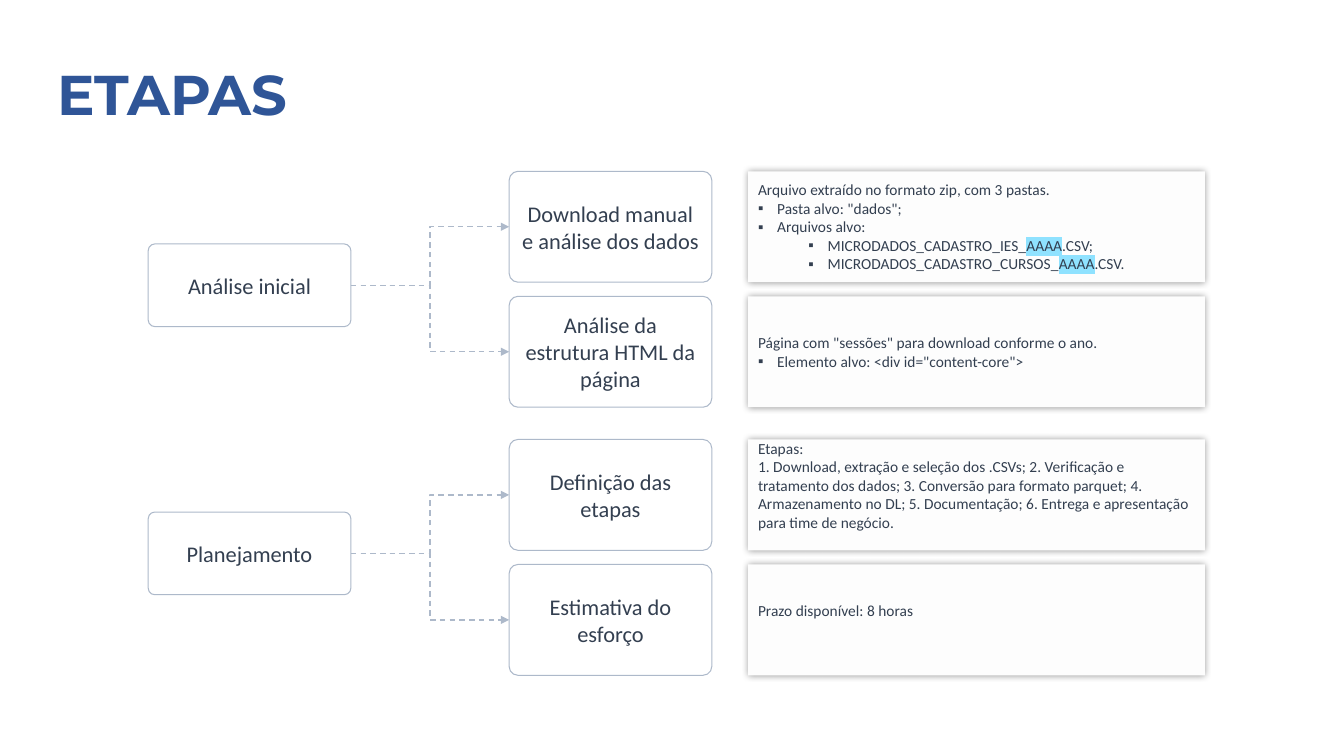
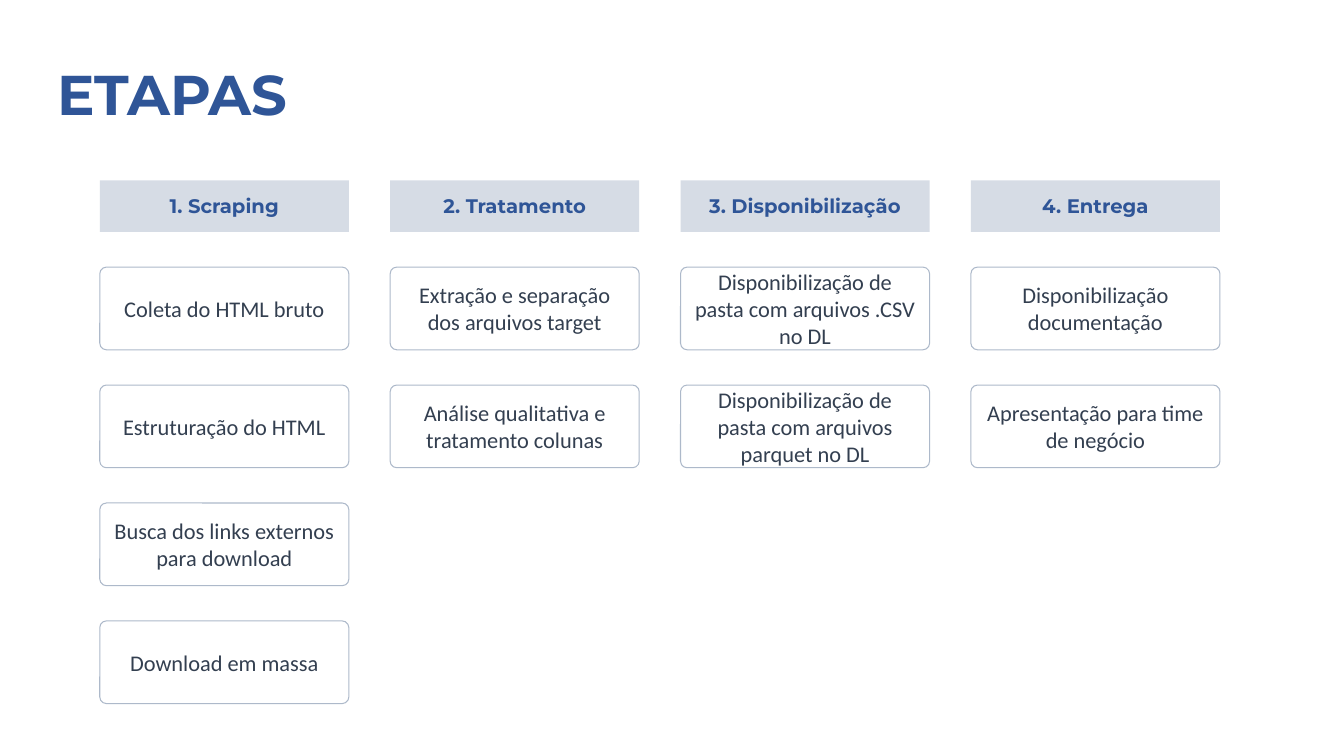
from lxml import etree
from pptx import Presentation
from pptx import util as u
from pptx.dml import color
from pptx.enum import dml, shapes, text
from pptx.oxml import ns

COLORS = {
    "title": "2F5597",
    "body": "333F50",
    "border": "ADB9CA",
    "card": "FFFFFF",
    "detail": "FDFDFD",
    "header": "D6DCE5",
    "highlight": "8FE2FF",
    "shadow": "000000",
}
FONTS = {
    "title": {"name": "Montserrat", "size": u.Pt(40), "bold": True},
    "header": {"name": "Montserrat", "size": u.Pt(14), "bold": True},
    "card": {"name": "Calibri", "size": u.Pt(16)},
    "detail": {"name": "Calibri", "size": u.Pt(11)},
}
FRAME = {"word_wrap": True, "vertical_anchor": text.MSO_ANCHOR.MIDDLE}
CENTER = {"alignment": text.PP_ALIGN.CENTER}
LEFT = {"alignment": text.PP_ALIGN.LEFT}
CARD_ROUNDING = 0.08
YEAR = "AAAA"
TITLE = "ETAPAS"
BULLET_INDENTS = {1: 0.19, 2: 0.69}

PHASES = [
    ("Análise inicial", [
        ("Download manual e análise dos dados", [
            (0, "Arquivo extraído no formato zip, com 3 pastas."),
            (1, 'Pasta alvo: "dados";'),
            (1, "Arquivos alvo:"),
            (2, "MICRODADOS_CADASTRO_IES_AAAA.CSV;"),
            (2, "MICRODADOS_CADASTRO_CURSOS_AAAA.CSV."),
        ], 0.05),
        ("Análise da estrutura HTML da página", [
            (0, 'Página com "sessões" para download conforme o ano.'),
            (1, 'Elemento alvo: <div id="content-core">'),
        ], 0.05),
    ]),
    ("Planejamento", [
        ("Definição das etapas", [
            (0, "Etapas:"),
            (0, "1. Download, extração e seleção dos .CSVs; 2. Verificação e "
                "tratamento dos dados; 3. Conversão para formato parquet; "
                "4. Armazenamento no DL; 5. Documentação; 6. Entrega e "
                "apresentação para time de negócio."),
        ], 0.24),
        ("Estimativa do esforço", [(0, "Prazo disponível: 8 horas")], 0.24),
    ]),
]

COLUMNS = [
    ("1. Scraping", [
        "Coleta do HTML bruto",
        "Estruturação do HTML",
        "Busca dos links externos para download",
        "Download em massa",
    ]),
    ("2. Tratamento", [
        "Extração e separação dos arquivos target",
        "Análise qualitativa e tratamento colunas",
    ]),
    ("3. Disponibilização", [
        "Disponibilização de pasta com arquivos .CSV no DL",
        "Disponibilização de pasta com arquivos parquet no DL",
    ]),
    ("4. Entrega", [
        "Disponibilização documentação",
        "Apresentação para time de negócio",
    ]),
]


def rgb(name):
    return color.RGBColor.from_string(COLORS[name])


def inches(box):
    return [u.Inches(value) for value in box]


def apply(target, values):
    for name, value in values.items():
        setattr(target, name, value)


def add_element(parent, tag, **attributes):
    return etree.SubElement(parent, ns.qn(tag), attributes)


def add_run(paragraph, content, font, ink):
    run = paragraph.add_run()
    run.text = content
    apply(run.font, font)
    run.font.color.rgb = rgb(ink)
    return run


def write_line(shape, content, font, ink, layout):
    apply(shape.text_frame, FRAME)
    paragraph = shape.text_frame.paragraphs[0]
    apply(paragraph, layout)
    add_run(paragraph, content, font, ink)


def add_box(slide, box, fill, kind=shapes.MSO_SHAPE.ROUNDED_RECTANGLE, rounding=None):
    shape = slide.shapes.add_shape(kind, *inches(box))
    shape.shadow.inherit = False
    shape.fill.solid()
    shape.fill.fore_color.rgb = rgb(fill)
    shape.line.fill.background()
    if rounding is not None:
        shape.adjustments[0] = rounding
    return shape


def add_title(slide):
    shape = slide.shapes.add_textbox(*inches((0.47, 0.51, 12.38, 0.82)))
    write_line(shape, TITLE, FONTS["title"], "title", LEFT)


def add_card(slide, box, content):
    shape = add_box(slide, box, "card", rounding=CARD_ROUNDING)
    shape.line.color.rgb = rgb("border")
    shape.line.width = u.Pt(0.75)
    write_line(shape, content, FONTS["card"], "body", CENTER)
    return shape


def add_header(slide, box, content):
    shape = add_box(slide, box, "header", shapes.MSO_SHAPE.RECTANGLE)
    write_line(shape, content, FONTS["header"], "title", CENTER)


def add_glow(shape):
    effects = shape._element.spPr.find(ns.qn("a:effectLst"))
    shadow = add_element(effects, "a:outerShdw", blurRad=str(u.Pt(5)), dist="0",
                         dir="0", algn="ctr", rotWithShape="0")
    tint = add_element(shadow, "a:srgbClr", val=COLORS["shadow"])
    add_element(tint, "a:alpha", val="40000")


def add_bullet(paragraph, level):
    paragraph.level = level - 1
    properties = paragraph._p.get_or_add_pPr()
    properties.set("marL", str(u.Inches(BULLET_INDENTS[level])))
    properties.set("indent", str(u.Inches(-BULLET_INDENTS[1])))
    add_element(properties, "a:buFont", typeface="Arial")
    add_element(properties, "a:buChar", char="▪")


def highlight(run):
    fill = run._r.rPr.find(ns.qn("a:solidFill"))
    marker = etree.Element(ns.qn("a:highlight"))
    add_element(marker, "a:srgbClr", val=COLORS["highlight"])
    fill.addnext(marker)


def add_detail(slide, box, lines, bottom):
    shape = add_box(slide, box, "detail", rounding=0)
    add_glow(shape)
    frame = shape.text_frame
    apply(frame, {**FRAME, "margin_bottom": u.Inches(bottom)})
    for index, (level, content) in enumerate(lines):
        paragraph = frame.add_paragraph() if index else frame.paragraphs[0]
        apply(paragraph, LEFT)
        if level:
            add_bullet(paragraph, level)
        for piece in filter(None, content.partition(YEAR)):
            run = add_run(paragraph, piece, FONTS["detail"], "body")
            if piece == YEAR:
                highlight(run)


def add_branch(slide, source, target):
    connector = slide.shapes.add_connector(shapes.MSO_CONNECTOR.ELBOW, 0, 0, 0, 0)
    connector.begin_connect(source, 3)
    connector.end_connect(target, 1)
    connector.line.color.rgb = rgb("border")
    apply(connector.line, {"width": u.Pt(1), "dash_style": dml.MSO_LINE.DASH})
    add_element(connector.line._get_or_add_ln(), "a:tailEnd", type="triangle")
    add_element(connector._element.spPr, "a:effectLst")


def add_phase(slide, left, top, name, steps):
    root = add_card(slide, (left, top + 0.72, 2.01, 0.82), name)
    for index, (step, lines, bottom) in enumerate(steps):
        step_top = top + index * 1.24
        card = add_card(slide, (left + 3.58, step_top, 2.01, 1.1), step)
        add_detail(slide, (left + 5.95, step_top, 4.53, 1.1), lines, bottom)
        add_branch(slide, root, card)


def add_column(slide, left, top, width, header, tasks):
    add_header(slide, (left, top, width, 0.51), header)
    for index, task in enumerate(tasks):
        add_card(slide, (left, top + 0.86 + index * 1.17, width, 0.82), task)


def build_phases(slide):
    for index, (name, steps) in enumerate(PHASES):
        add_phase(slide, 1.47, 1.7 + index * 2.66, name, steps)


def build_columns(slide):
    for index, (header, tasks) in enumerate(COLUMNS):
        add_column(slide, 0.99 + index * 2.88, 1.79, 2.47, header, tasks)


def main():
    presentation = Presentation()
    apply(presentation, {"slide_width": u.Inches(13.33), "slide_height": u.Inches(7.5)})
    for build in (build_phases, build_columns):
        slide = presentation.slides.add_slide(presentation.slide_layouts[6])
        add_title(slide)
        build(slide)
    presentation.save("out.pptx")


if __name__ == "__main__":
    main()
